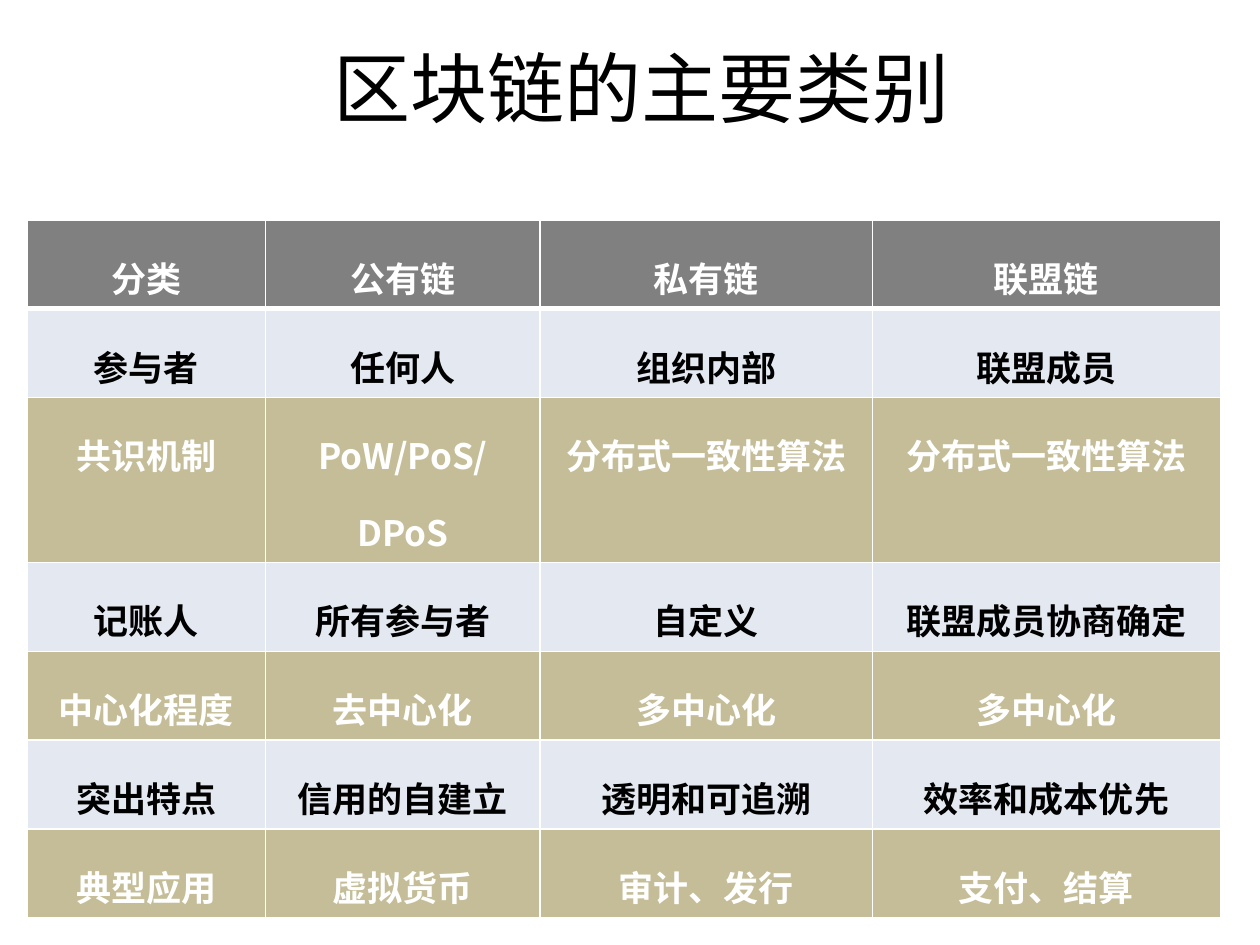
from lxml import etree
from pptx import Presentation
from pptx.dml.color import RGBColor
from pptx.enum import text
from pptx.oxml.ns import qn
from pptx.util import Cm, Pt

WHITE = RGBColor(0xFF, 0xFF, 0xFF)
BLACK = RGBColor(0x00, 0x00, 0x00)
GREY = RGBColor(0x80, 0x80, 0x80)
PALE_BLUE = RGBColor(0xE4, 0xE9, 0xF1)
TAN = RGBColor(0xC4, 0xBD, 0x97)

CJK_FONT = "Noto Sans CJK SC"
COLUMN_WIDTHS = [4.8, 5.54, 6.7, 7.01]
TALL_ROW, SHORT_ROW = 1.73, 1.57
CATEGORIES = [
    ["分类", "公有链", "私有链", "联盟链"],
    ["参与者", "任何人", "组织内部", "联盟成员"],
    ["共识机制", "PoW/PoS/DPoS", "分布式一致性算法", "分布式一致性算法"],
    ["记账人", "所有参与者", "自定义", "联盟成员协商确定"],
    ["中心化程度", "去中心化", "多中心化", "多中心化"],
    ["突出特点", "信用的自建立", "透明和可追溯", "效率和成本优先"],
    ["典型应用", "虚拟货币", "审计、发行", "支付、结算"],
]


def write_text(frame, words, *, size, color, font=CJK_FONT, bold=False, spacing=None):
    paragraph = frame.paragraphs[0]
    paragraph.alignment = text.PP_ALIGN.CENTER
    paragraph.line_spacing = spacing
    run = paragraph.add_run()
    run.text = words
    run.font.size = Pt(size)
    run.font.bold = bold
    run.font.color.rgb = color
    run.font.name = font
    east_asian = etree.SubElement(run.font._element, qn("a:ea"))
    east_asian.set("typeface", CJK_FONT)


def set_borders(cell, **widths):
    """Draw white borders; widths are in points, keyed by side L, R, T, B."""
    properties = cell._tc.get_or_add_tcPr()
    for side, width in widths.items():
        line = etree.SubElement(properties, qn(f"a:ln{side}"), w=str(Pt(width)))
        fill = etree.SubElement(line, qn("a:solidFill"))
        etree.SubElement(fill, qn("a:srgbClr"), val=str(WHITE))


def row_style(row):
    """Return the fill and text colours of a row."""
    if row == 0:
        return GREY, WHITE
    return (PALE_BLUE, BLACK) if row % 2 else (TAN, WHITE)


def add_title(slide, words):
    title = slide.shapes.title
    title.left, title.top = Cm(2.11), Cm(0.66)
    title.width, title.height = Cm(21.64), Cm(2.18)
    title.text_frame.vertical_anchor = text.MSO_ANCHOR.MIDDLE
    write_text(title.text_frame, words, size=44, color=BLACK, font="Calibri")


def add_category_table(slide):
    row_heights = [SHORT_ROW if row and row % 2 == 0 else TALL_ROW
                   for row in range(len(CATEGORIES))]
    table = slide.shapes.add_table(
        len(CATEGORIES), len(COLUMN_WIDTHS), Cm(0.55), Cm(4.43),
        Cm(sum(COLUMN_WIDTHS)), Cm(sum(row_heights))).table
    for column, width in zip(table.columns, COLUMN_WIDTHS):
        column.width = Cm(width)
    for row, (height, entries) in enumerate(zip(row_heights, CATEGORIES)):
        table.rows[row].height = Cm(height)
        fill_color, text_color = row_style(row)
        for column, words in enumerate(entries):
            cell = table.cell(row, column)
            set_borders(cell, L=1, R=1, T=3 if row == 1 else 1, B=3 if row == 0 else 1)
            cell.fill.solid()
            cell.fill.fore_color.rgb = fill_color
            write_text(cell.text_frame, words, size=20, color=text_color,
                       bold=True, spacing=1.5)


def main():
    deck = Presentation()
    deck.slide_width, deck.slide_height = Cm(25.4), Cm(19.05)
    slide = deck.slides.add_slide(deck.slide_layouts[5])
    add_category_table(slide)
    add_title(slide, "区块链的主要类别")
    deck.save("out.pptx")


if __name__ == "__main__":
    main()
